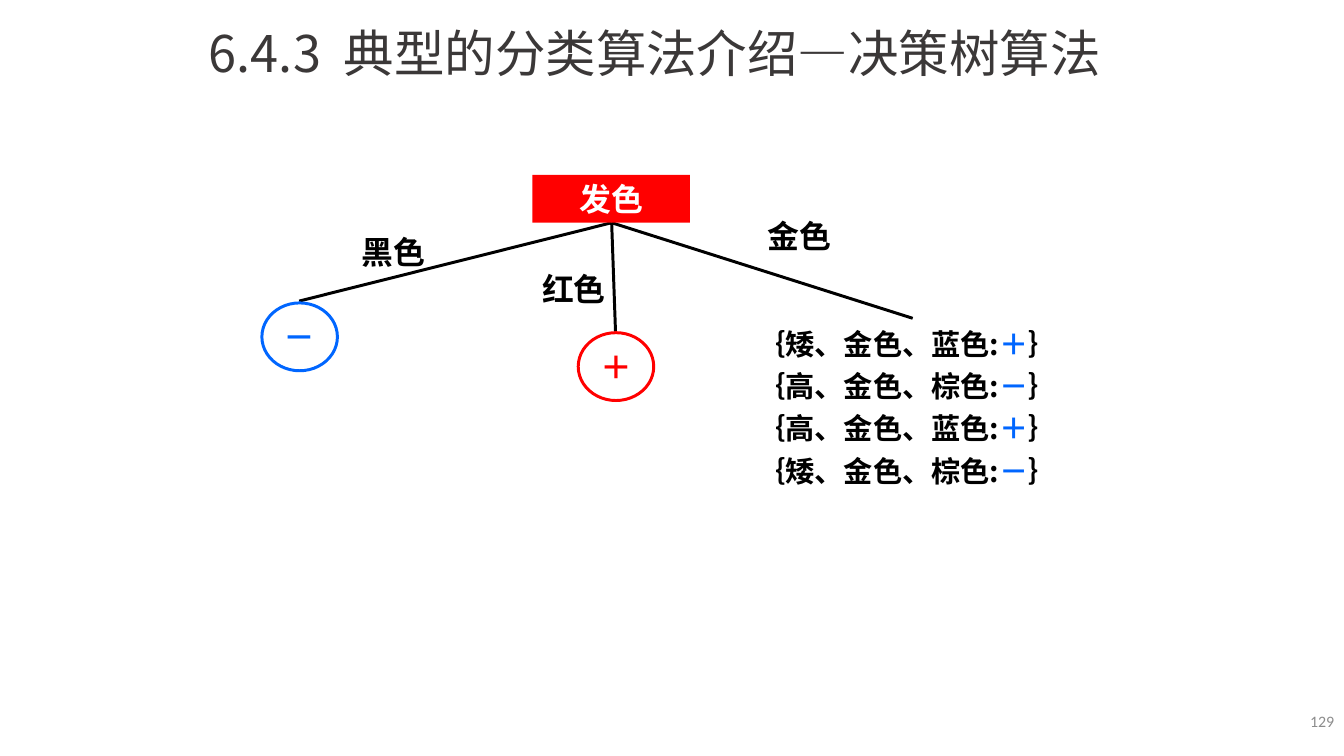
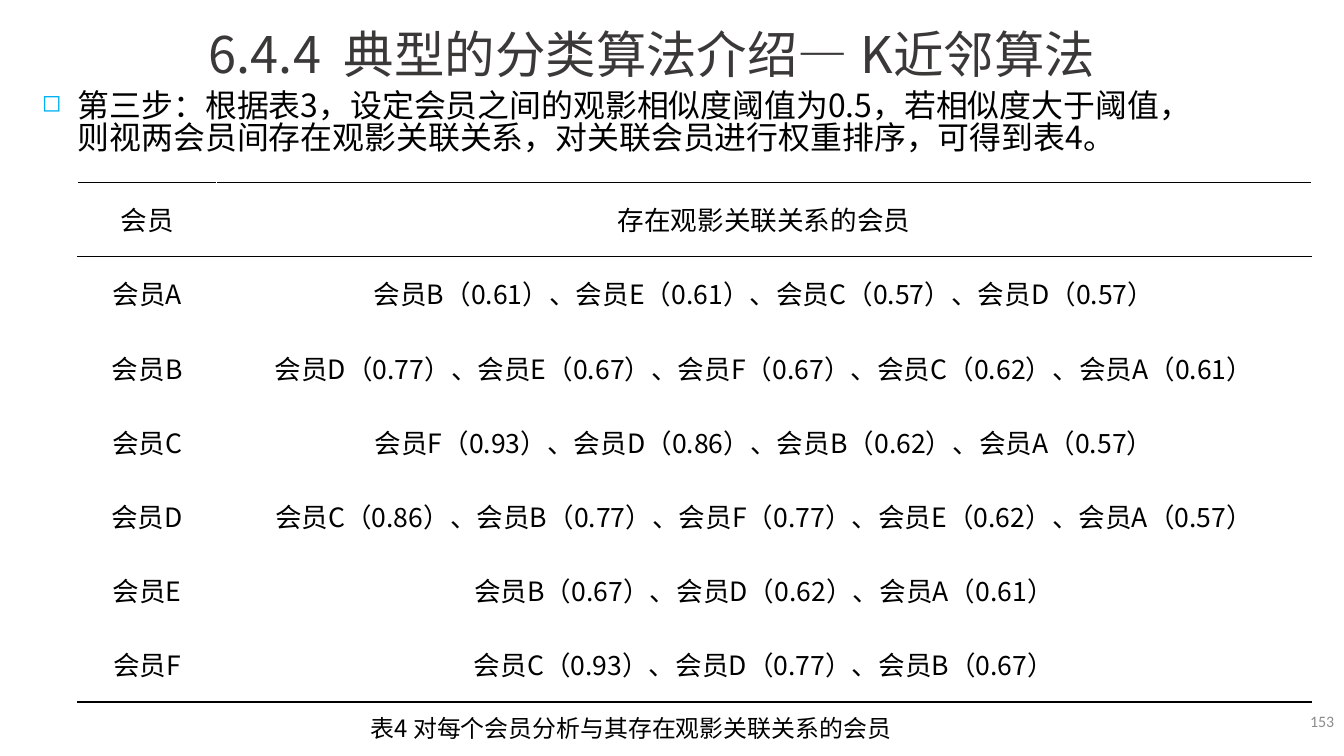
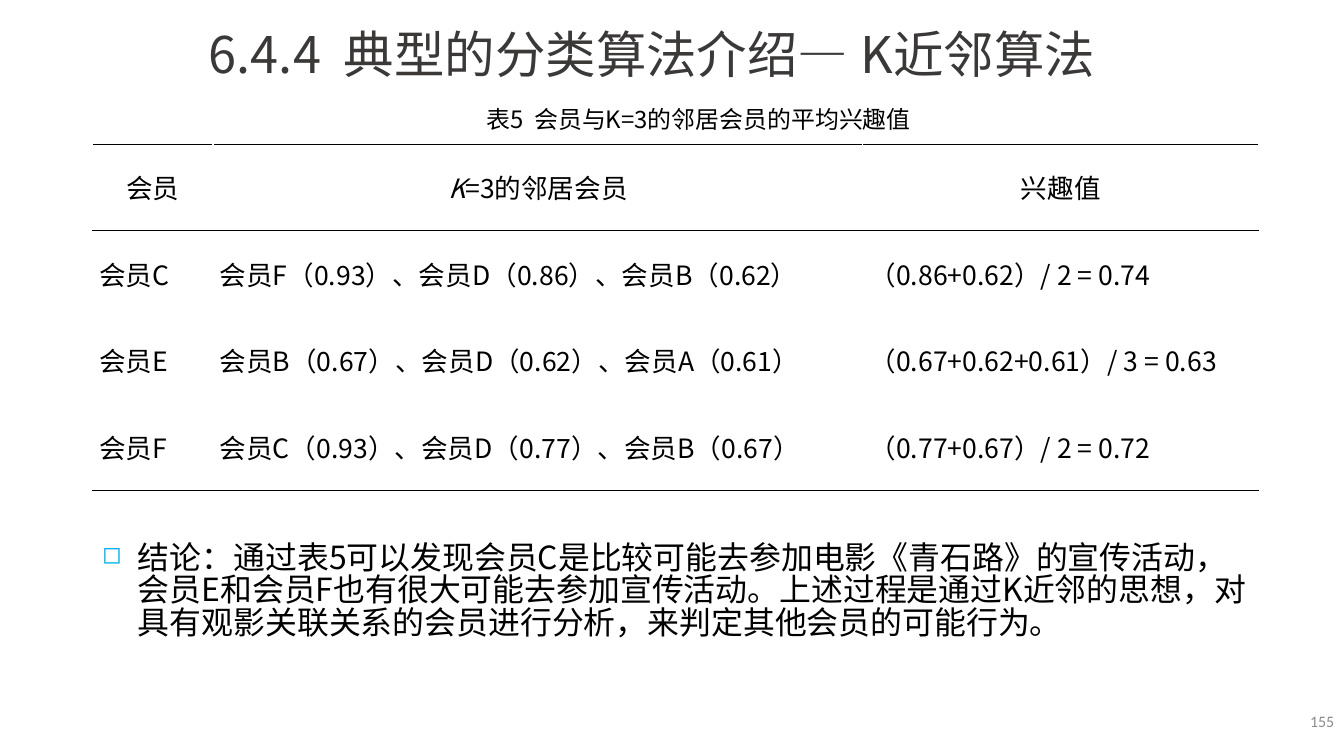
from dataclasses import dataclass
from typing import Optional

from lxml import etree
from pptx import Presentation
from pptx.dml.color import RGBColor
from pptx.enum import shapes, text
from pptx.oxml import ns
from pptx.util import Pt

CENTER, LEFT, RIGHT = text.PP_ALIGN.CENTER, text.PP_ALIGN.LEFT, text.PP_ALIGN.RIGHT
MIDDLE, TOP = text.MSO_ANCHOR.MIDDLE, text.MSO_ANCHOR.TOP


@dataclass(frozen=True)
class Theme:
    ink: str = "000000"
    title_ink: str = "3B3838"
    number_ink: str = "8C8C8C"
    white: str = "FFFFFF"
    red: str = "FF0000"
    blue: str = "0066FF"
    bullet: str = "00B0F2"
    cjk: str = "Noto Sans CJK SC"
    label_font: str = "Arial"
    small_font: str = "Calibri"
    title_size: float = 38
    title_gap_size: float = 40
    body_size: float = 24
    list_size: float = 22
    table_size: float = 20
    caption_size: float = 18
    number_size: float = 12


THEME = Theme()


@dataclass(frozen=True)
class Area:
    left: float
    top: float
    width: float
    height: float

    def points(self) -> tuple:
        return Pt(self.left), Pt(self.top), Pt(self.width), Pt(self.height)


@dataclass(frozen=True)
class Span:
    words: str
    size: float
    color: str = THEME.ink
    font: str = THEME.cjk
    bold: bool = False
    italic: bool = False


@dataclass(frozen=True)
class Node:
    """One box of the tree; without fill and line it is a branch label."""
    words: str
    area: Area
    color: str = THEME.ink
    fill: Optional[str] = None
    line: Optional[str] = None


@dataclass(frozen=True)
class Grid:
    left: float
    top: float
    columns: tuple
    row_height: float
    body_align: text.PP_ALIGN
    rows: tuple


def add_element(parent, tag: str, **attributes: str):
    element = etree.SubElement(parent, ns.qn(tag))
    for name, value in attributes.items():
        element.set(name, value)
    return element


def add_spans(para, spans) -> None:
    for item in spans:
        span = para.add_run()
        span.text = item.words
        font = span.font
        font.name, font.size = item.font, Pt(item.size)
        font.bold, font.italic = item.bold, item.italic
        font.color.rgb = RGBColor.from_string(item.color)
        east = add_element(font._element, "a:ea", typeface=THEME.cjk)
        font._element.find(ns.qn("a:latin")).addnext(east)


def set_frame(frame, anchor=MIDDLE, side: float = 7.2, top: float = 0, wrap: bool = True) -> None:
    frame.auto_size = text.MSO_AUTO_SIZE.NONE
    frame.word_wrap = wrap
    frame.vertical_anchor = anchor
    frame.margin_left = frame.margin_right = Pt(side)
    frame.margin_top, frame.margin_bottom = Pt(top), Pt(0)


def add_text(page, area: Area, spans, align=CENTER) -> None:
    box = page.shapes.add_textbox(*area.points())
    set_frame(box.text_frame)
    para = box.text_frame.paragraphs[0]
    para.alignment = align
    add_spans(para, spans)


def add_page(deck, title, number: str):
    page = deck.slides.add_slide(deck.slide_layouts[5])
    heading = page.shapes.title
    heading.left, heading.top, heading.width, heading.height = Area(149.8, 12.2, 720, 55).points()
    set_frame(heading.text_frame, side=7.6)
    para = heading.text_frame.paragraphs[0]
    para.alignment = LEFT
    add_spans(para, title)
    number_span = Span(number, THEME.number_size, THEME.number_ink, THEME.small_font)
    add_text(page, Area(784.8, 527.8, 227.5, 30.2), [number_span], RIGHT)
    return page


def add_bullet(page, left: float, top: float, words: str) -> None:
    box = page.shapes.add_textbox(*Area(left, top, 884.2, 67.7).points())
    set_frame(box.text_frame, TOP, top=6)
    para = box.text_frame.paragraphs[0]
    props = para._p.get_or_add_pPr()
    props.set("marL", str(Pt(27)))
    props.set("indent", str(-Pt(27)))
    color = add_element(props, "a:buClr")
    add_element(color, "a:srgbClr", val=THEME.bullet)
    add_element(props, "a:buSzPct", val="75000")
    add_element(props, "a:buChar", char="◻")
    para.line_spacing = 0.84
    add_spans(para, [Span(words, THEME.body_size)])


def add_caption(page, left: float, top: float, words: str) -> None:
    add_text(page, Area(left, top, 459.4, 28.8), [Span(words, THEME.caption_size)])


def add_node(page, node: Node, kind, font: str) -> None:
    box = page.shapes.add_shape(kind, *node.area.points())
    box.shadow.inherit = False
    if node.fill:
        box.fill.solid()
        box.fill.fore_color.rgb = RGBColor.from_string(node.fill)
    else:
        box.fill.background()
    if node.line:
        box.line.color.rgb = RGBColor.from_string(node.line)
        box.line.width = Pt(2.25)
    else:
        box.line.fill.background()
    set_frame(box.text_frame, wrap=False)
    para = box.text_frame.paragraphs[0]
    para.alignment = CENTER
    add_spans(para, [Span(node.words, THEME.body_size, node.color, font, bold=True)])


def add_branch(page, start: tuple, end: tuple) -> None:
    branch = page.shapes.add_connector(shapes.MSO_CONNECTOR.STRAIGHT, *(Pt(v) for v in start + end))
    branch.line.color.rgb = RGBColor.from_string(THEME.ink)
    branch.line.width = Pt(2.25)
    add_element(branch._element.spPr, "a:effectLst")


def add_rule(cell, tag: str) -> None:
    """Draw one edge of a cell; edges must come before the fill."""
    props = cell._tc.get_or_add_tcPr()
    edge = add_element(props, tag, w=str(Pt(1)))
    fill = add_element(edge, "a:solidFill")
    add_element(fill, "a:srgbClr", val=THEME.ink)


def add_grid(page, grid: Grid) -> None:
    count = len(grid.rows)
    area = Area(grid.left, grid.top, sum(grid.columns), grid.row_height * count)
    table = page.shapes.add_table(count, len(grid.columns), *area.points()).table
    table.first_row = table.horz_banding = False
    for column, width in zip(table.columns, grid.columns):
        column.width = Pt(width)
    for r, row in enumerate(grid.rows):
        table.rows[r].height = Pt(grid.row_height)
        for c, content in enumerate(row):
            cell = table.cell(r, c)
            if r in (0, 1):
                add_rule(cell, "a:lnT")
            if r in (0, count - 1):
                add_rule(cell, "a:lnB")
            cell.fill.background()
            cell.vertical_anchor = MIDDLE
            cell.margin_left = cell.margin_right = Pt(5)
            cell.margin_top = cell.margin_bottom = Pt(0)
            para = cell.text_frame.paragraphs[0]
            para.alignment = grid.body_align if r else CENTER
            para.line_spacing = 0.96
            spans = [Span(content, THEME.table_size)] if isinstance(content, str) else content
            add_spans(para, spans)


def add_samples(page, samples) -> None:
    box = page.shapes.add_textbox(*Area(554.4, 245.5, 257.8, 152.6).points())
    set_frame(box.text_frame, TOP)
    for i, (features, sign) in enumerate(samples):
        para = box.text_frame.add_paragraph() if i else box.text_frame.paragraphs[0]
        para.alignment = CENTER
        if i:
            para.space_before = Pt(5.5)
        add_spans(para, [
            Span(f"｛{features}:", THEME.list_size, bold=True),
            Span(sign, THEME.list_size, THEME.blue, THEME.label_font, bold=True),
            Span("｝", THEME.list_size, bold=True),
        ])


def build_tree_page(deck) -> None:
    title = [Span("6.4.3  典型的分类算法介绍—决策树算法", THEME.title_size, THEME.title_ink)]
    page = add_page(deck, title, "129")
    root = (460.8, 167.8)
    for end in ((225.4, 226.8), (463.7, 249.8), (687.6, 239.8)):
        add_branch(page, root, end)
    labels = (
        Node("发色", Area(401, 131.8, 118.8, 36), THEME.white, fill=THEME.red),
        Node("黑色", Area(236.9, 171.4, 118.8, 36)),
        Node("红色", Area(373, 199.4, 118.8, 36)),
        Node("金色", Area(542.9, 159.8, 118.8, 36)),
    )
    leaves = (
        Node("＋", Area(435.6, 250.6, 56.9, 51.1), THEME.red, line=THEME.red),
        Node("－", Area(197.3, 228.2, 56.9, 51.1), THEME.blue, line=THEME.blue),
    )
    for label in labels:
        add_node(page, label, shapes.MSO_SHAPE.RECTANGLE, THEME.label_font)
    for leaf in leaves:
        add_node(page, leaf, shapes.MSO_SHAPE.OVAL, THEME.small_font)
    add_samples(page, (
        ("矮、金色、蓝色", "＋"),
        ("高、金色、棕色", "－"),
        ("高、金色、蓝色", "＋"),
        ("矮、金色、棕色", "－"),
    ))


NEIGHBOUR_TITLE = (
    Span("6.4.4  典型的分类算法介绍—", THEME.title_size, THEME.title_ink),
    Span(" ", THEME.title_gap_size, THEME.title_ink, bold=True),
    Span("K近邻算法", THEME.title_size, THEME.title_ink),
)


def build_relation_page(deck) -> None:
    page = add_page(deck, NEIGHBOUR_TITLE, "153")
    add_bullet(page, 24.5, 63.4, "第三步：根据表3，设定会员之间的观影相似度阈值为0.5，若相似度大于阈值，"
               "则视两会员间存在观影关联关系，对关联会员进行权重排序，可得到表4。")
    add_caption(page, 245.5, 534.2, "表4 对每个会员分析与其存在观影关联关系的会员")
    add_grid(page, Grid(58.3, 137.5, (105.1, 824.4), 55.9, CENTER, (
        ("会员", "存在观影关联关系的会员"),
        ("会员A", "会员B（0.61）、会员E（0.61）、会员C（0.57）、会员D（0.57）"),
        ("会员B", "会员D（0.77）、会员E（0.67）、会员F（0.67）、会员C（0.62）、会员A（0.61）"),
        ("会员C", "会员F（0.93）、会员D（0.86）、会员B（0.62）、会员A（0.57）"),
        ("会员D", "会员C（0.86）、会员B（0.77）、会员F（0.77）、会员E（0.62）、会员A（0.57）"),
        ("会员E", "会员B（0.67）、会员D（0.62）、会员A（0.61）"),
        ("会员F", "会员C（0.93）、会员D（0.77）、会员B（0.67）"),
    )))


def build_interest_page(deck) -> None:
    page = add_page(deck, NEIGHBOUR_TITLE, "155")
    add_bullet(page, 69.8, 403.9, "结论：通过表5可以发现会员C是比较可能去参加电影《青石路》的宣传活动，"
               "会员E和会员F也有很大可能去参加宣传活动。上述过程是通过K近邻的思想，"
               "对具有观影关联关系的会员进行分析，来判定其他会员的可能行为。")
    add_caption(page, 296.6, 74.9, "表5  会员与K=3的邻居会员的平均兴趣值")
    neighbour_header = (Span("K", THEME.table_size, italic=True), Span("=3的邻居会员", THEME.table_size))
    add_grid(page, Grid(69.8, 108.7, (90.7, 489.6, 298.1), 65.2, LEFT, (
        ("会员", neighbour_header, "兴趣值"),
        ("会员C", "会员F（0.93）、会员D（0.86）、会员B（0.62）", "（0.86+0.62）/ 2 = 0.74"),
        ("会员E", "会员B（0.67）、会员D（0.62）、会员A（0.61）", "（0.67+0.62+0.61）/ 3 = 0.63"),
        ("会员F", "会员C（0.93）、会员D（0.77）、会员B（0.67）", "（0.77+0.67）/ 2 = 0.72"),
    )))


def main() -> None:
    deck = Presentation()
    deck.slide_width, deck.slide_height = Pt(1012.5), Pt(569.5)
    build_tree_page(deck)
    build_relation_page(deck)
    build_interest_page(deck)
    deck.save("out.pptx")


if __name__ == "__main__":
    main()
